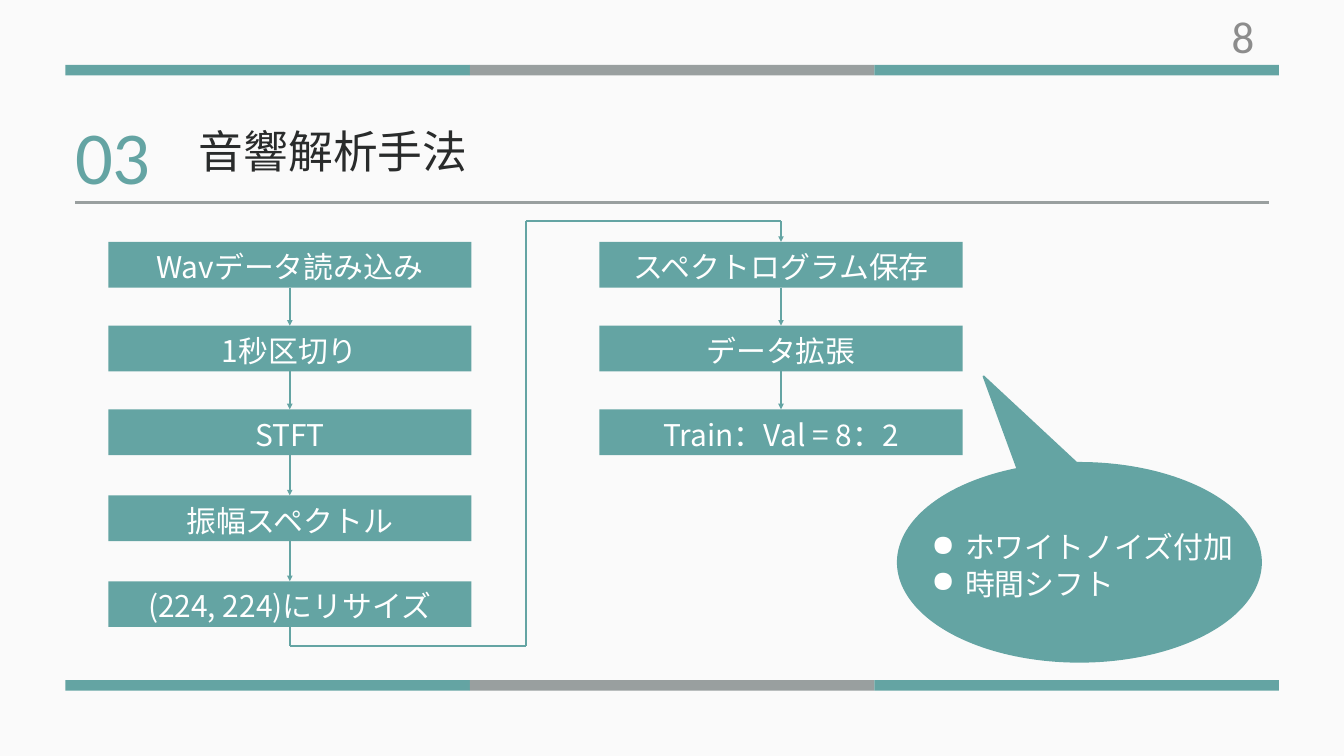
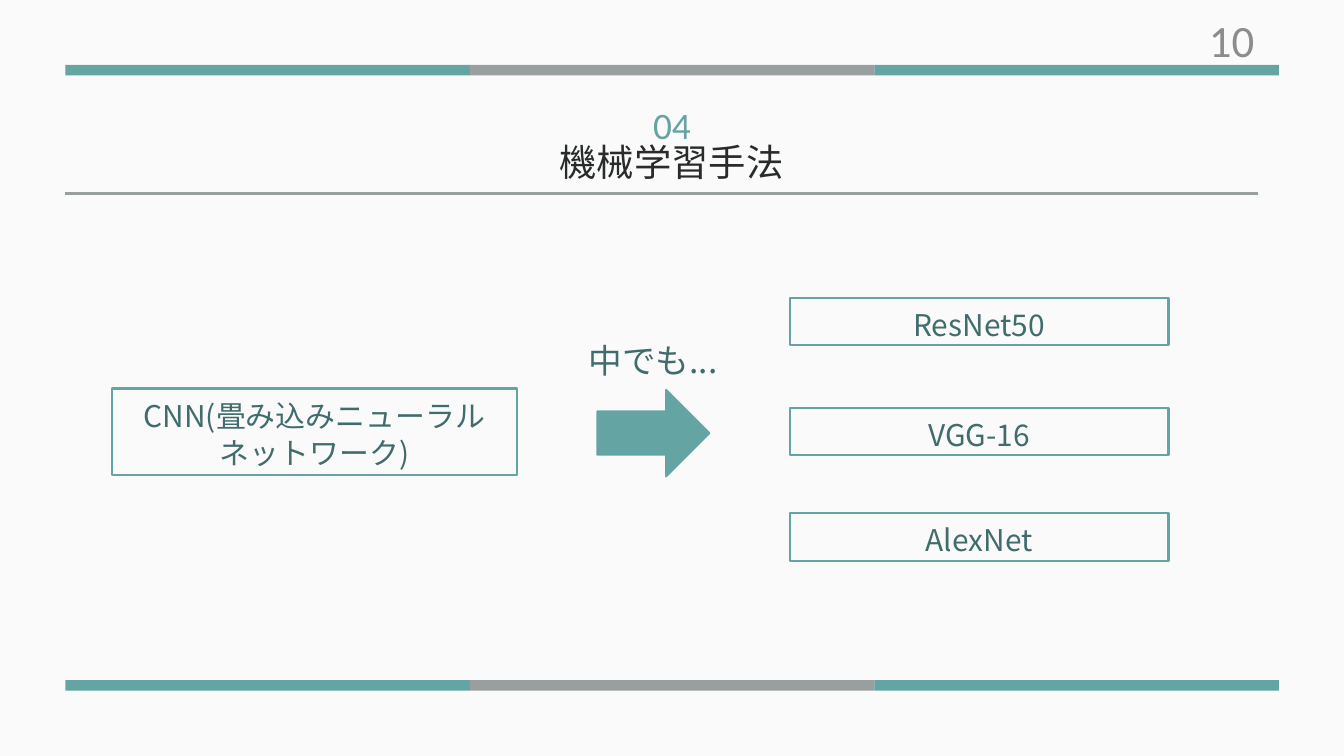
from itertools import pairwise

from pptx import Presentation
from pptx.dml.color import RGBColor
from pptx.enum.shapes import MSO_CONNECTOR, MSO_SHAPE as SHAPE
from pptx.enum.text import MSO_ANCHOR as ANCHOR, MSO_AUTO_SIZE as AUTO, PP_ALIGN as ALIGN
from pptx.oxml.ns import qn
from pptx.util import Pt

PAPER = RGBColor(0xFA, 0xFA, 0xFA)
TEAL = RGBColor(0x64, 0xA4, 0xA3)
DEEP_TEAL = RGBColor(0x40, 0x6D, 0x6C)
GREY = RGBColor(0x99, 0x9F, 0x9F)
PAGE_GREY = RGBColor(0x8C, 0x8C, 0x8C)
INK = RGBColor(0x29, 0x2B, 0x2B)
WHITE = RGBColor(0xFF, 0xFF, 0xFF)

LATIN = "Calibri"
CJK = "Noto Sans CJK SC"
BODY_LEAD = 39.2
BULLET_INDENT = 36


class Deck:
    """Holds the shared style and the slide being built."""

    def __init__(self):
        self.prs = Presentation()
        self.prs.slide_width, self.prs.slide_height = Pt(1440), Pt(810)
        self.s = None

    def slide(self, page, page_top):
        self.s = self.prs.slides.add_slide(self.prs.slide_layouts[6])
        fill = self.s.background.fill
        fill.solid()
        fill.fore_color.rgb = PAPER
        # Three-part bands at top and bottom
        for top in (69.6, 728.8):
            for i, color in enumerate((TEAL, GREY, TEAL)):
                self.shape(SHAPE.RECTANGLE, (70 + 433.4 * i, top, 433.4, 11.3), color)
        self.text((1183, page_top, 168, 29), [page], 48, PAGE_GREY, LATIN,
                  align=ALIGN.RIGHT, lead=None, inset=None, grow=False)

    def heading(self, number, title, number_box, title_box, number_size, title_size,
                rule, align):
        left, right, y = rule
        self.line((left, y), (right, y), GREY, 3)
        self.text(title_box, [title], title_size, INK, align=align, lead=58.8)
        self.text(number_box, [number], number_size, TEAL, LATIN, align=align, lead=112)

    def shape(self, kind, box, fill=None, line=None, width=2, rotation=0):
        sp = self.s.shapes.add_shape(kind, *map(Pt, box))
        sp.shadow.inherit = False
        sp.rotation = rotation
        if fill is None:
            sp.fill.background()
        else:
            sp.fill.solid()
            sp.fill.fore_color.rgb = fill
        if line is None:
            sp.line.fill.background()
        else:
            sp.line.color.rgb = line
            sp.line.width = Pt(width)

    def line(self, start, end, color=TEAL, width=2, arrow=False):
        sp = self.s.shapes.add_connector(MSO_CONNECTOR.STRAIGHT, *map(Pt, (*start, *end)))
        sp.line.color.rgb = color
        sp.line.width = Pt(width)
        if arrow:
            ln = sp.line._get_or_add_ln()
            ln.append(ln.makeelement(qn("a:tailEnd"), {"type": "triangle"}))
        props = sp._element.spPr
        props.append(props.makeelement(qn("a:effectLst"), {}))

    def route(self, points):
        """Joins points with lines; the last one ends in an arrowhead."""
        pairs = list(pairwise(points))
        for i, (start, end) in enumerate(pairs, 1):
            self.line(start, end, arrow=i == len(pairs))

    def text(self, box, lines, size, color, font=CJK, align=ALIGN.CENTER,
             lead=BODY_LEAD, inset=0, grow=True, bullet=None):
        tf = self.s.shapes.add_textbox(*map(Pt, box)).text_frame
        frame = {"word_wrap": True,
                 "auto_size": AUTO.SHAPE_TO_FIT_TEXT if grow else AUTO.NONE,
                 "vertical_anchor": ANCHOR.TOP if grow else ANCHOR.MIDDLE}
        if inset is not None:
            frame |= {f"margin_{side}": Pt(inset)
                      for side in ("left", "top", "right", "bottom")}
        for name, value in frame.items():
            setattr(tf, name, value)
        for i, line in enumerate(lines):
            p = tf.paragraphs[0] if i == 0 else tf.add_paragraph()
            p.alignment = align
            if bullet:
                props = p._p.get_or_add_pPr()
                props.set("marL", str(Pt(BULLET_INDENT)))
                props.set("indent", str(-Pt(BULLET_INDENT)))
                props.append(props.makeelement(qn("a:buChar"), {"char": bullet}))
            if lead:
                p.line_spacing = Pt(lead)
            r = p.add_run()
            r.text = line
            for name, value in {"size": Pt(size), "name": font}.items():
                setattr(r.font, name, value)
            r.font.color.rgb = color
            # East Asian glyphs take the same typeface
            props = r._r.get_or_add_rPr()
            props.append(props.makeelement(qn("a:ea"), {"typeface": font}))

    def step(self, box, label):
        x, y, w, _ = box
        self.shape(SHAPE.RECTANGLE, box, TEAL)
        self.text((x, y + 6.5, w, 38), [label], 32, WHITE)

    def outlined(self, box, label, pad_x=0, pad_y=8.4):
        x, y, w, h = box
        self.shape(SHAPE.RECTANGLE, box, line=TEAL, width=2.25)
        self.text((x + pad_x, y + pad_y, w - 2 * pad_x, h - 2 * pad_y),
                  [label], 32, DEEP_TEAL)


def audio_slide(deck):
    deck.slide("8", 23.8)
    deck.heading("03", "音響解析手法", (80.6, 101.5, 209.5, 110), (213, 131.8, 615, 58),
                 80, 48, (80.6, 1359.4, 216.7), ALIGN.LEFT)

    # Two columns of processing steps
    step_w, step_h = 389, 49
    rows = (259.2, 349, 438.6, 530.8, 622.8)
    columns = {
        116: ("Wavデータ読み込み", "1秒区切り", "STFT", "振幅スペクトル",
              "(224, 224)にリサイズ"),
        642.3: ("スペクトログラム保存", "データ拡張", "Train：Val = 8：2"),
    }
    for x, labels in columns.items():
        mid = x + step_w / 2
        for y, label in zip(rows, labels):
            deck.step((x, y, step_w, step_h), label)
        for y, below in pairwise(rows[:len(labels)]):
            deck.line((mid, y + step_h), (mid, below), arrow=True)

    # Route from the last step on the left to the first on the right
    start, end = (x + step_w / 2 for x in columns)
    gutter, low, high = 563.8, 692.6, 237
    deck.route([(start, rows[-1] + step_h), (start, low), (gutter, low),
                (gutter, high), (end, high), (end, rows[0])])

    # Callout on data augmentation
    deck.shape(SHAPE.OVAL, (962, 496, 389, 213), TEAL, TEAL)
    deck.shape(SHAPE.ISOSCELES_TRIANGLE, (1059, 391.7, 66.2, 138.2), TEAL, TEAL,
               rotation=326.4)
    deck.text((998, 566, 326, 77), ["ホワイトノイズ付加", "時間シフト"], 32, WHITE,
              align=ALIGN.LEFT, bullet="●")


def learning_slide(deck):
    deck.slide("10", 27.4)
    deck.heading("04", "機械学習手法", (545, 46, 350, 97), (365, 138.2, 709, 56),
                 40, 40, (70, 1348, 207.4), ALIGN.CENTER)

    # Method, arrow and the chosen models
    deck.outlined((120.2, 416.2, 433.5, 92.9), "CNN(畳み込みニューラルネットワーク)", 17.5, 9.4)
    deck.shape(SHAPE.RIGHT_ARROW, (640, 417.6, 120.2, 92.9), TEAL, TEAL)
    deck.text((576.7, 365, 246.2, 46.8), ["中でも..."], 36, DEEP_TEAL, inset=None)
    for y, model in zip((319, 437, 550), ("ResNet50", "VGG-16", "AlexNet")):
        deck.outlined((846, y, 406, 51), model)


def main():
    deck = Deck()
    audio_slide(deck)
    learning_slide(deck)
    deck.prs.save("out.pptx")


if __name__ == "__main__":
    main()
